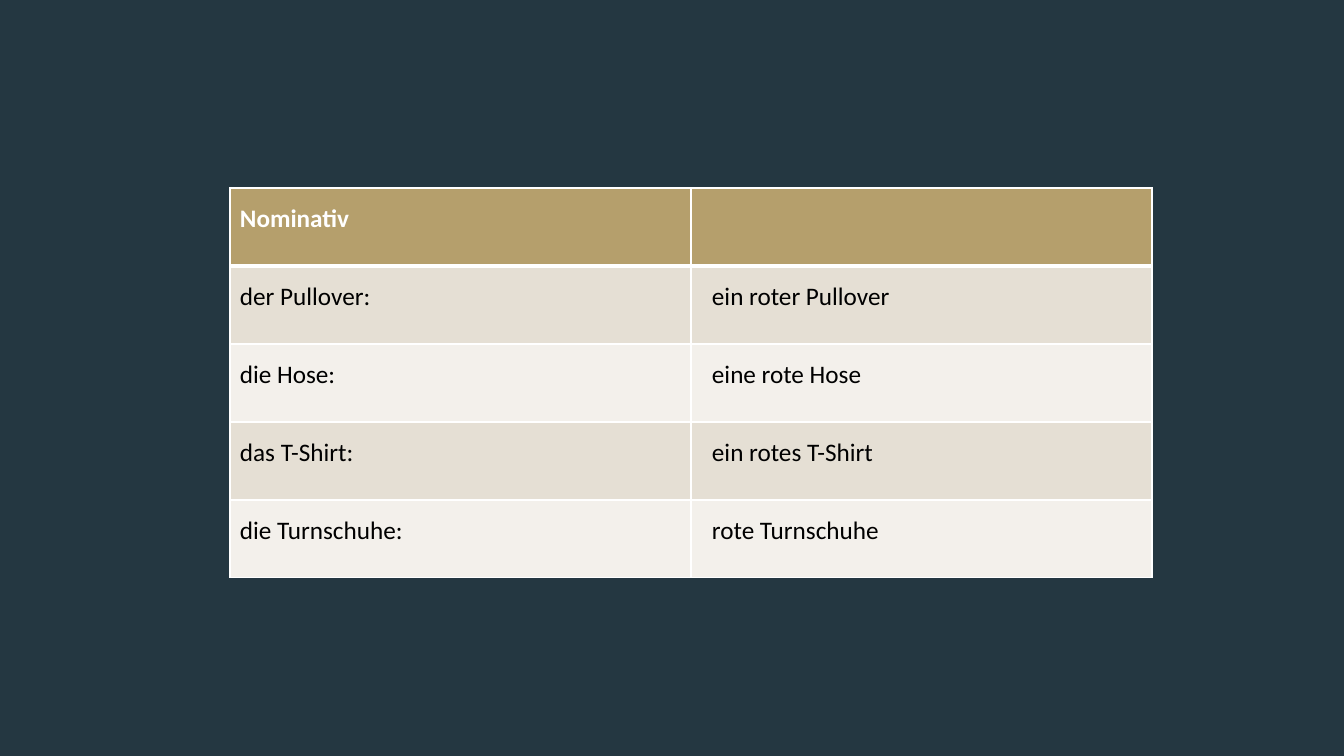
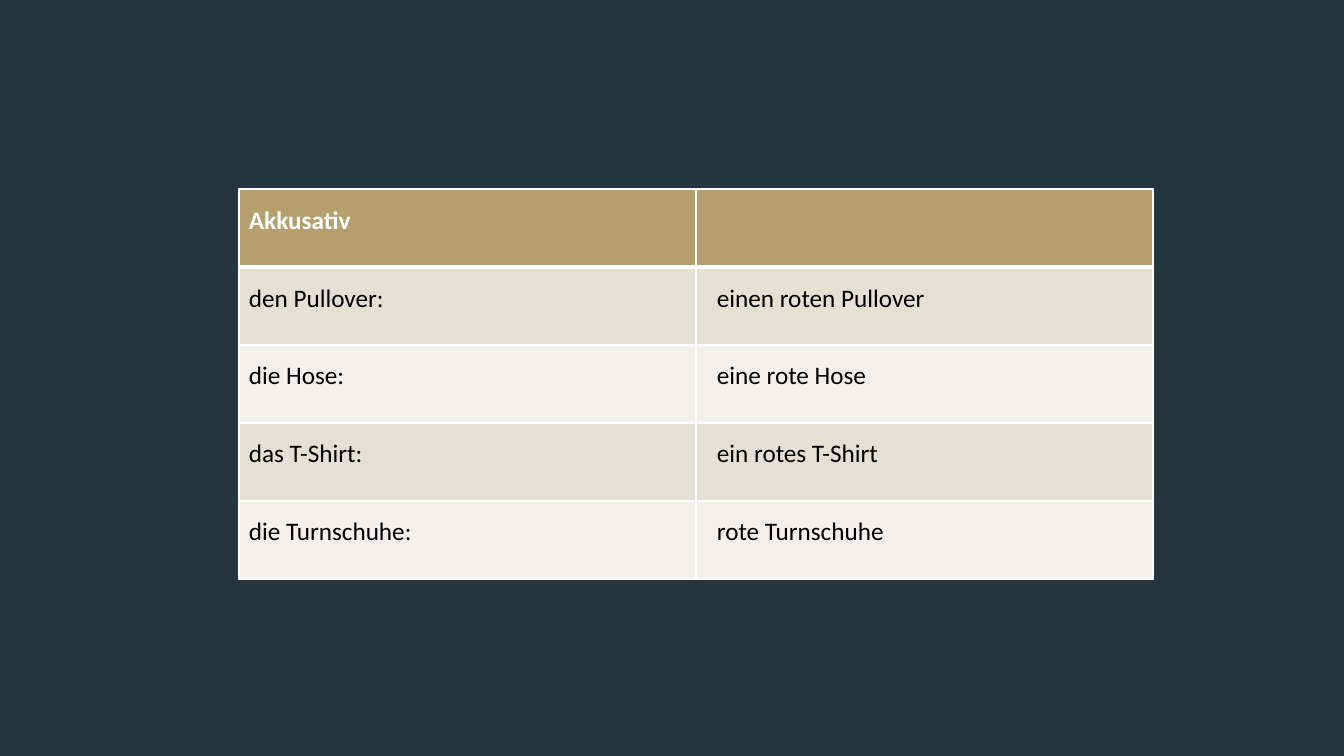
"""Build two slides with German adjective ending tables."""
from lxml import etree
from pptx import Presentation
from pptx import util as u
from pptx.dml.color import RGBColor
from pptx.oxml import ns

NAVY = RGBColor(0x24, 0x37, 0x41)
GOLD = RGBColor(0xB5, 0x9F, 0x6C)
SAND = RGBColor(0xE5, 0xDF, 0xD4)
CREAM = RGBColor(0xF3, 0xF0, 0xEB)
WHITE = RGBColor(0xFF, 0xFF, 0xFF)
BLACK = RGBColor(0, 0, 0)

FONT = "Calibri"
SIZE = 18
SCALE = 12192000 / 1344
ROW = 78
EDGE, GAP, TOP, BASE = 10, 21, 16, 31

COMMON = [
    ("die\u00a0Hose:", "eine rote\u00a0Hose"),
    ("das\u00a0T-Shirt:", "ein rotes\u00a0T-Shirt"),
    ("die\u00a0Turnschuhe:", "rote\u00a0Turnschuhe"),
]
CASES = [
    {"left": 230, "top": 188, "col": 461,
     "rows": [("Nominativ", ""),
              ("der\u00a0Pullover:", "ein roter\u00a0Pullover")] + COMMON},
    {"left": 239, "top": 189, "col": 457,
     "rows": [("Akkusativ", ""),
              ("den\u00a0Pullover:", "einen roten\u00a0Pullover")] + COMMON},
]


def px(num):
    """Turn pixels into EMU."""
    return u.Emu(round(num * SCALE))


def rule(cell, row):
    """Draw white cell borders, thick between header and body."""
    wide = {"T": 3 if row == 1 else 1, "B": 3 if row == 0 else 1}
    props = cell._tc.get_or_add_tcPr()
    for side in "LRTB":
        line = etree.SubElement(props, ns.qn("a:ln" + side),
                                w=str(u.Pt(wide.get(side, 1))))
        fill = etree.SubElement(line, ns.qn("a:solidFill"))
        etree.SubElement(fill, ns.qn("a:srgbClr"), val=str(WHITE))


def fill_cell(cell, row, col, words):
    """Style one cell and set its words."""
    rule(cell, row)
    cell.fill.solid()
    cell.fill.fore_color.rgb = GOLD if row == 0 else (CREAM, SAND)[row % 2]
    cell.margin_left, cell.margin_right = (
        px(n) for n in ((EDGE, GAP), (GAP, EDGE))[col])
    cell.margin_top, cell.margin_bottom = px(TOP), px(BASE)
    para = cell.text_frame.paragraphs[0]
    para.text = words
    font = para.font
    font.name, font.size, font.bold = FONT, u.Pt(SIZE), row == 0
    font.color.rgb = WHITE if row == 0 else BLACK


def add_case(deck, case):
    """Add one slide with its table."""
    rows, wide = case["rows"], case["col"]
    slide = deck.slides.add_slide(deck.slide_layouts.get_by_name("Blank"))
    table = slide.shapes.add_table(
        len(rows), 2, px(case["left"]), px(case["top"]),
        px(2 * wide), px(len(rows) * ROW)).table
    for row, pair in enumerate(rows):
        table.rows[row].height = px(ROW)
        for col, words in enumerate(pair):
            fill_cell(table.cell(row, col), row, col, words)


deck = Presentation()
deck.slide_width, deck.slide_height = px(1344), px(756)
back = deck.slide_master.background.fill
back.solid()
back.fore_color.rgb = NAVY
for case in CASES:
    add_case(deck, case)
deck.save("out.pptx")
